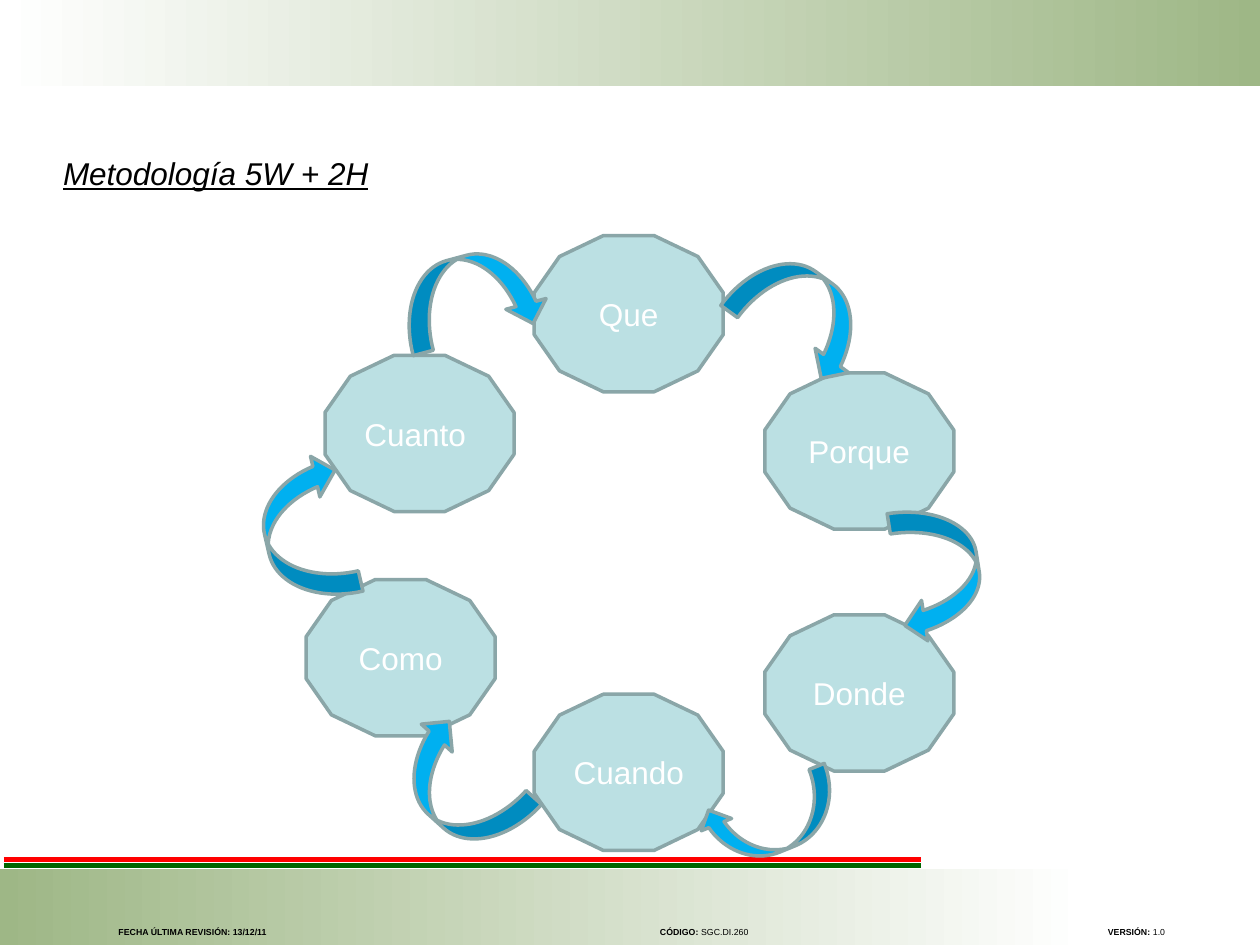
from dataclasses import dataclass

from lxml.etree import SubElement
from pptx import Presentation
from pptx.dml.color import RGBColor
from pptx.enum.shapes import MSO_CONNECTOR, MSO_SHAPE
from pptx.enum.text import MSO_ANCHOR, MSO_AUTO_SIZE, PP_ALIGN
from pptx.oxml.ns import qn
from pptx.util import Inches, Pt


@dataclass(frozen=True)
class Theme:
    """Colours, font, type sizes and line widths of the slide."""
    font: str = "Arial"
    text: str = "000000"
    paper: str = "FFFFFF"
    band: str = "9EB786"
    red: str = "FF0000"
    green: str = "006600"
    step: str = "BBE0E3"
    outline: str = "8AA6A8"
    arrow: str = "00B0F0"
    body_size: int = 18
    footer_size: int = 5
    outline_width: int = 2
    rule_width: int = 3


THEME = Theme()
COLUMNS, ROWS = 100, 75
CELL = Inches(0.1)
STEP_SIZE = (15, 12.4)
STEPS = [
    ("Que", 42.4, 18.7),
    ("Porque", 60.7, 29.6),
    ("Donde", 60.7, 48.8),
    ("Cuando", 42.4, 55.1),
    ("Como", 24.3, 46),
    ("Cuanto\u00a0", 25.8, 28.2),
]
ARROWS = [
    (60.5, 19.2, 6.6, 11.5, 306),
    (71.2, 40.2, 6.5, 10.6, 351),
    (58.6, 59.5, 5.2, 11.2, 68),
    (33.2, 56.7, 6.6, 11.5, 132),
    (21, 36.3, 6.6, 11.5, 167),
    (34.2, 17.8, 6.6, 11.5, 255),
]
FOOTERS = [
    ("FECHA ÚLTIMA REVISIÓN: 13/12/11", "", 4.2, 22.2),
    ("CÓDIGO: ", "SGC.DI.260", 48, 15.8),
    ("VERSIÓN: ", "1.0", 85.4, 9.6),
]


def grid(*cells):
    """Turn counts of grid cells into lengths."""
    return [round(CELL * count) for count in cells]


def rgb(code):
    """Turn a hex code into a colour."""
    return RGBColor.from_string(code)


def style_font(font, size, color):
    """Set the theme's font with a size and a colour."""
    font.name = THEME.font
    font.size = Pt(size)
    font.color.rgb = rgb(color)


def add_band(page, left, top, width, height, rotation=0):
    """Add a band that fades from paper to green."""
    band = page.shapes.add_shape(MSO_SHAPE.RECTANGLE, *grid(left, top, width, height))
    band.rotation = rotation
    band.shadow.inherit = False
    band.line.fill.background()
    band.fill.gradient()
    band.fill.gradient_angle = 0
    for stop, color, position in zip(band.fill.gradient_stops, (THEME.paper, THEME.band), (0, 1)):
        stop.color.rgb = rgb(color)
        stop.position = position


def add_rule(page, row, color):
    """Add a horizontal rule above the lower band."""
    rule = page.shapes.add_connector(MSO_CONNECTOR.STRAIGHT, *grid(0.3, row, 73.1, row))
    rule.line.color.rgb = rgb(color)
    rule.line.width = Pt(THEME.rule_width)
    SubElement(rule.element.spPr, qn("a:effectLst"))


def add_outlined(page, kind, cells, fill):
    """Add a filled shape with the common outline."""
    shape = page.shapes.add_shape(kind, *grid(*cells))
    shape.shadow.inherit = False
    shape.fill.solid()
    shape.fill.fore_color.rgb = rgb(fill)
    shape.line.color.rgb = rgb(THEME.outline)
    shape.line.width = Pt(THEME.outline_width)
    return shape


def add_step(page, label, left, top):
    """Add one question of the cycle."""
    step = add_outlined(page, MSO_SHAPE.DODECAGON, (left, top, *STEP_SIZE), THEME.step)
    frame = step.text_frame
    frame.vertical_anchor = MSO_ANCHOR.MIDDLE
    para = frame.paragraphs[0]
    para.text = label
    para.alignment = PP_ALIGN.CENTER
    style_font(para.font, THEME.body_size, THEME.paper)


def add_arrow(page, left, top, width, height, rotation):
    """Add a curved arrow between two questions."""
    cells = (left, top, width, height)
    arrow = add_outlined(page, MSO_SHAPE.CURVED_LEFT_ARROW, cells, THEME.arrow)
    arrow.rotation = rotation


def add_footer(page, label, value, left, width):
    """Add a footer entry with a bold label and a plain value."""
    box = page.shapes.add_textbox(*grid(left, 72.8, width, 2.3))
    frame = box.text_frame
    frame.word_wrap = True
    frame.vertical_anchor = MSO_ANCHOR.MIDDLE
    para = frame.paragraphs[0]
    para.alignment = PP_ALIGN.CENTER
    style_font(para.font, THEME.footer_size, THEME.text)
    for text, bold in ((label, True), (value, False)):
        if text:
            span = para.add_run()
            span.text = text
            span.font.bold = bold
            style_font(span.font, THEME.footer_size, THEME.text)


def set_title(page, text):
    """Move, fill and format the title placeholder."""
    title = page.shapes.title
    title.left, title.top, title.width, title.height = grid(4, 11.7, 30, 4)
    frame = title.text_frame
    frame.word_wrap = True
    frame.auto_size = MSO_AUTO_SIZE.SHAPE_TO_FIT_TEXT
    frame.vertical_anchor = MSO_ANCHOR.TOP
    para = frame.paragraphs[0]
    para.text = text
    para.alignment = PP_ALIGN.LEFT
    style_font(para.font, THEME.body_size, THEME.text)
    para.font.italic = True
    para.font.underline = True


def main():
    """Build the slide and save the deck."""
    deck = Presentation()
    deck.slide_width, deck.slide_height = grid(COLUMNS, ROWS)
    page = deck.slides.add_slide(deck.slide_layouts[5])
    add_band(page, 0, 0, COLUMNS, 6.8)
    add_band(page, 0, 69, 86.2, 6, rotation=180)
    add_rule(page, 68.2, THEME.red)
    add_rule(page, 68.7, THEME.green)
    set_title(page, "Metodología\u00a05W + 2H")
    for footer in FOOTERS:
        add_footer(page, *footer)
    for step in STEPS:
        add_step(page, *step)
    for arrow in ARROWS:
        add_arrow(page, *arrow)
    deck.save("out.pptx")


if __name__ == "__main__":
    main()
